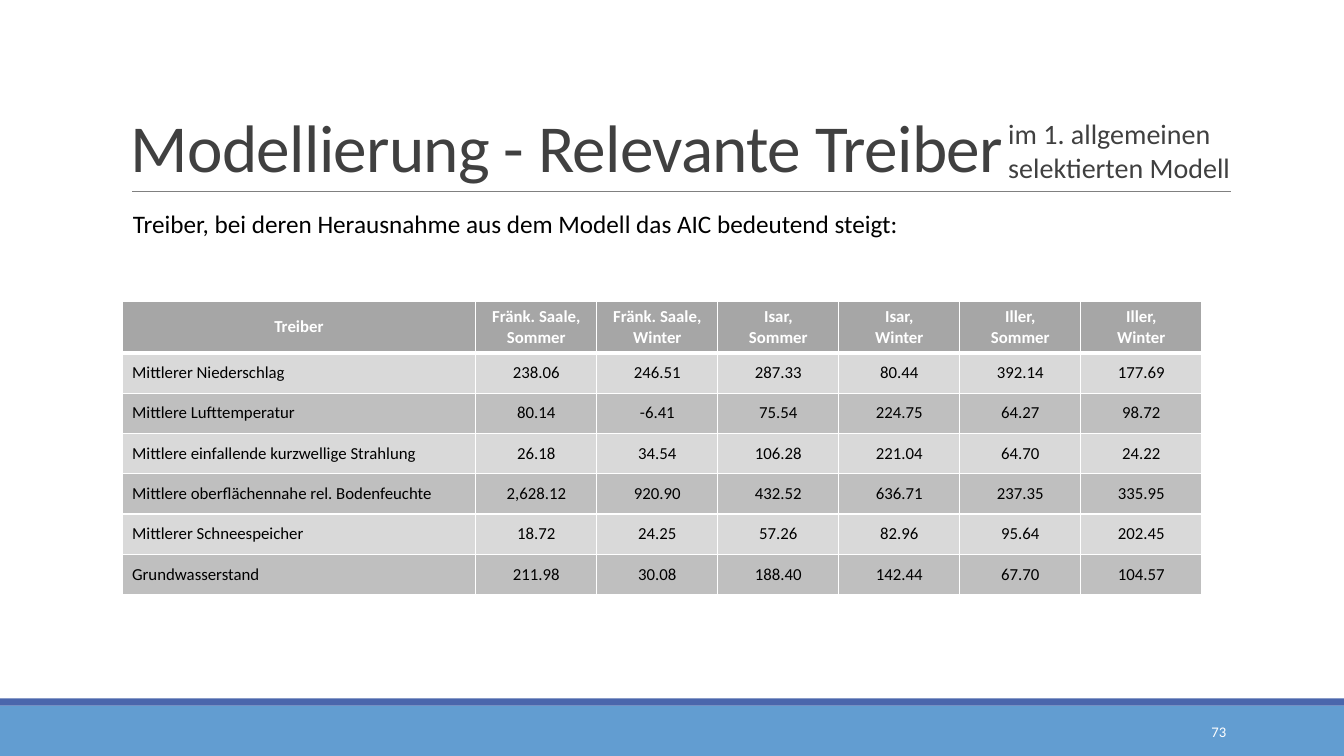
from dataclasses import dataclass

from lxml import etree
from pptx import Presentation
from pptx.dml.color import RGBColor
from pptx.enum.shapes import MSO_CONNECTOR, MSO_SHAPE
from pptx.enum.text import MSO_ANCHOR, PP_ALIGN
from pptx.oxml.ns import qn
from pptx.util import Inches, Pt

LEFT, MID, RIGHT = PP_ALIGN.LEFT, PP_ALIGN.CENTER, PP_ALIGN.RIGHT
TOP, CENTER, BOTTOM = MSO_ANCHOR.TOP, MSO_ANCHOR.MIDDLE, MSO_ANCHOR.BOTTOM
RECT, LINE = MSO_SHAPE.RECTANGLE, MSO_CONNECTOR.STRAIGHT


@dataclass(frozen=True)
class Theme:
    font: str = "Calibri"
    white: str = "FFFFFF"
    black: str = "000000"
    dark: str = "404040"
    rule: str = "808080"
    bar: str = "629DD1"
    strip: str = "4A66AC"
    head: str = "A6A6A6"
    bands: tuple = ("D9D9D9", "BFBFBF")
    title: float = 48
    side: float = 20
    lead: float = 18
    cell: float = 12
    page: float = 10.5


THEME = Theme()
WIDE, HIGH = 13.33, 7.5

HEADS = ["Treiber"] + [
    f"{river},\n{season}"
    for river in ("Fränk. Saale", "Isar", "Iller")
    for season in ("Sommer", "Winter")
]
ROWS = [
    ("Mittlerer Niederschlag", "238.06", "246.51", "287.33", "80.44", "392.14", "177.69"),
    ("Mittlere Lufttemperatur", "80.14", "-6.41", "75.54", "224.75", "64.27", "98.72"),
    ("Mittlere einfallende kurzwellige Strahlung",
     "26.18", "34.54", "106.28", "221.04", "64.70", "24.22"),
    ("Mittlere oberflächennahe rel. Bodenfeuchte",
     "2,628.12", "920.90", "432.52", "636.71", "237.35", "335.95"),
    ("Mittlerer Schneespeicher", "18.72", "24.25", "57.26", "82.96", "95.64", "202.45"),
    ("Grundwasserstand", "211.98", "30.08", "188.40", "142.44", "67.70", "104.57"),
]


def color(code):
    return RGBColor.from_string(code)


def write(frame, text, size, tint=THEME.black, bold=False, align=LEFT, space=None, track=0):
    """Fill a text frame, one paragraph per line of text."""
    frame.word_wrap = True
    for i, line in enumerate(text.split("\n")):
        para = frame.add_paragraph() if i else frame.paragraphs[0]
        para.alignment = align
        if space:
            para.line_spacing = space
        run = para.add_run()
        run.text = line
        font = run.font
        font.name, font.size, font.bold = THEME.font, Pt(size), bold
        font.color.rgb = color(tint)
        if track:
            font._element.set("spc", str(track))


def label(slide, box, text, size, anchor=TOP, inset=0.1, **style):
    frame = slide.shapes.add_textbox(*map(Inches, box)).text_frame
    frame.vertical_anchor = anchor
    frame.margin_left = frame.margin_right = Inches(inset)
    write(frame, text, size, **style)


def band(slide, box, tint):
    shape = slide.shapes.add_shape(RECT, *map(Inches, box))
    shape.shadow.inherit = False
    shape.fill.solid()
    shape.fill.fore_color.rgb = color(tint)
    shape.line.fill.background()


def edge(cell, side, width):
    props = cell._tc.get_or_add_tcPr()
    line = etree.SubElement(props, qn(f"a:ln{side}"), w=str(Pt(width)))
    fill = etree.SubElement(line, qn("a:solidFill"))
    etree.SubElement(fill, qn("a:srgbClr"), val=THEME.white)


def footer(slide, box):
    x, y, w, h = box
    strip = 0.07
    band(slide, (x, y + strip, w, h - strip), THEME.bar)
    band(slide, (x, y, w, strip), THEME.strip)
    label(slide, (x + 10.83, y + 0.13, 1.43, 0.4), "73", THEME.page,
          anchor=CENTER, tint=THEME.white, align=RIGHT)


def header(slide, box):
    x, y, w, h = box
    base = y + h
    # Rule under the title
    ends = (x + 0.11, base, x + w + 0.01, base)
    rule = slide.shapes.add_connector(LINE, *map(Inches, ends))
    rule.line.color.rgb = color(THEME.rule)
    rule.line.width = Pt(0.5)
    etree.SubElement(rule._element.spPr, qn("a:effectLst"))
    # Title, side note and lead sentence
    label(slide, box, "Modellierung - Relevante Treiber", THEME.title,
          anchor=BOTTOM, tint=THEME.dark, space=0.85, track=-50)
    label(slide, (x + 8.8, base - 0.79, 3, 0.79),
          "im 1. allgemeinen\nselektierten Modell", THEME.side, inset=0, tint=THEME.dark)
    label(slide, (x + 0.02, base + 0.12, 9.1, 0.4),
          "Treiber, bei deren Herausnahme aus dem Modell das AIC bedeutend steigt:",
          THEME.lead)


def drivers(slide, box):
    x, y, w, h = box
    first, top = 3.51, 0.51
    grid = [HEADS, *ROWS]
    table = slide.shapes.add_table(len(grid), len(HEADS), *map(Inches, box)).table
    for c, col in enumerate(table.columns):
        col.width = Inches(first if c == 0 else (w - first) / (len(HEADS) - 1))
    for r, row in enumerate(table.rows):
        row.height = Inches(top if r == 0 else (h - top) / len(ROWS))
        head = r == 0
        for c, text in enumerate(grid[r]):
            cell = table.cell(r, c)
            cell.vertical_anchor = CENTER
            # A thick edge parts the head from the body
            for side, width in (("L", 1), ("R", 1), ("T", 3 if r == 1 else 1),
                                ("B", 3 if head else 1)):
                edge(cell, side, width)
            cell.fill.solid()
            cell.fill.fore_color.rgb = color(THEME.head if head else THEME.bands[(r - 1) % 2])
            write(cell.text_frame, text, THEME.cell, bold=head,
                  tint=THEME.white if head else THEME.black,
                  align=MID if head or c else LEFT)


def main():
    deck = Presentation()
    deck.slide_width, deck.slide_height = Inches(WIDE), Inches(HIGH)
    slide = deck.slides.add_slide(deck.slide_layouts[6])
    footer(slide, (0, 6.93, WIDE, 0.57))
    header(slide, (1.2, 0.31, 11, 1.59))
    drivers(slide, (1.21, 2.99, 10.71, 2.91))
    deck.save("out.pptx")


if __name__ == "__main__":
    main()
